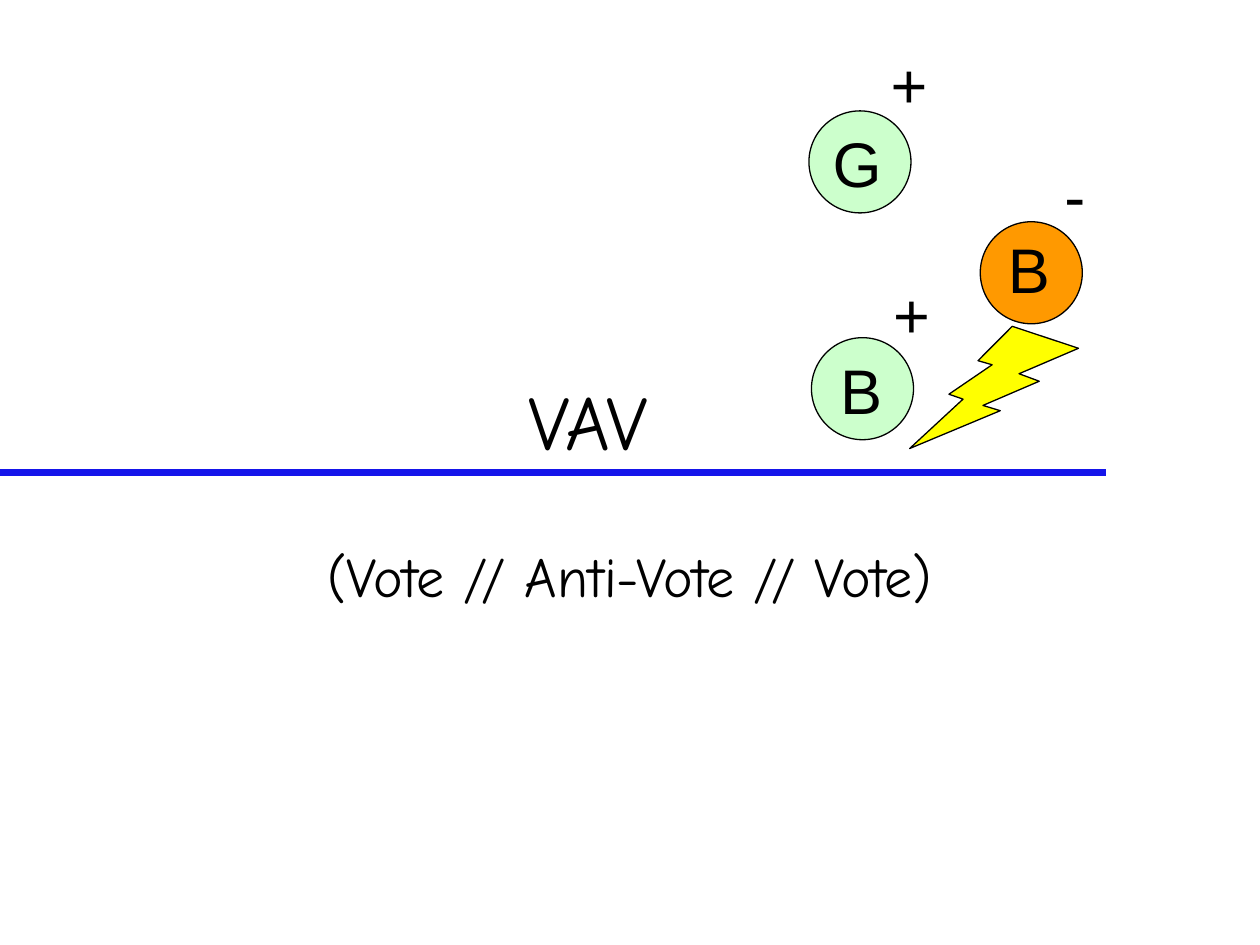
from pptx import Presentation
from pptx.dml.color import RGBColor
from pptx.enum.shapes import MSO_CONNECTOR, MSO_SHAPE
from pptx.enum.text import MSO_ANCHOR, MSO_AUTO_SIZE, PP_ALIGN
from pptx.oxml.ns import qn
from pptx.util import Inches, Pt
from lxml import etree

OVAL, BOLT = MSO_SHAPE.OVAL, MSO_SHAPE.LIGHTNING_BOLT
TOP, BOTTOM = MSO_ANCHOR.TOP, MSO_ANCHOR.BOTTOM
LEFT, CENTER = PP_ALIGN.LEFT, PP_ALIGN.CENTER
FIT, FIXED = MSO_AUTO_SIZE.SHAPE_TO_FIT_TEXT, MSO_AUTO_SIZE.NONE

BLACK = RGBColor(0x00, 0x00, 0x00)
BLUE = RGBColor(0x15, 0x15, 0xEA)
GREEN = RGBColor(0xCC, 0xFF, 0xCC)
ORANGE = RGBColor(0xFF, 0x99, 0x00)
YELLOW = RGBColor(0xFF, 0xFF, 0x00)

# Content: text, box, size, anchor
HEADINGS = [
    ("VAV", (0.42, 2.5, 8.5, 1.25), 44, BOTTOM),
    ("(Vote // Anti-Vote // Vote)", (1.5, 4.25, 7, 1.92), 32, TOP),
]
# Circle left and top, fill
DIAMETER = 0.81
VOTES = [(6.42, 0.88, GREEN), (6.44, 2.68, GREEN), (7.78, 1.76, ORANGE)]
# Text, left, top, width
LABEL_HEIGHT = 0.7
LABELS = [
    ("G", 6.51, 0.94, 0.59),
    ("B", 7.9, 1.78, 0.53),
    ("B", 6.57, 2.74, 0.53),
    ("+", 6.97, 0.31, 0.49),
    ("+", 6.99, 2.14, 0.49),
    ("-", 8.35, 1.19, 0.57),
]
BOLT_BOX = (7.22, 2.59, 1.34, 0.97)


def write(tf, text, font, size, align):
    p = tf.paragraphs[0]
    p.alignment = align
    p.space_before = Pt(0)
    r = p.add_run()
    r.text = text
    r.font.name, r.font.size = font, Pt(size)
    r.font.color.rgb = BLACK


def add_figure(s, kind, box, fill):
    sp = s.shapes.add_shape(kind, *map(Inches, box))
    sp.shadow.inherit = False
    sp.fill.solid()
    sp.fill.fore_color.rgb = fill
    sp.line.color.rgb = BLACK
    sp.line.width = Pt(0.75)
    return sp


prs = Presentation()
prs.slide_width, prs.slide_height = Inches(10), Inches(7.5)
s = prs.slides.add_slide(prs.slide_layouts[0])

# Rule under the title
rule = s.shapes.add_connector(MSO_CONNECTOR.STRAIGHT, 0, Inches(3.75),
                              Inches(8.78), Inches(3.75))
rule.line.color.rgb = BLUE
rule.line.width = Pt(4)
etree.SubElement(rule._element.spPr, qn("a:effectLst"))

# Title and subtitle
for sp, (text, box, size, anchor) in zip(s.placeholders, HEADINGS):
    sp.left, sp.top, sp.width, sp.height = map(Inches, box)
    tf = sp.text_frame
    tf.auto_size, tf.vertical_anchor = FIXED, anchor
    write(tf, text, "Comic Neue", size, CENTER)

# Vote circles
for left, top, fill in VOTES:
    add_figure(s, OVAL, (left, top, DIAMETER, DIAMETER), fill)

# Letters and signs
for text, left, top, width in LABELS:
    sp = s.shapes.add_textbox(*map(Inches, (left, top, width, LABEL_HEIGHT)))
    tf = sp.text_frame
    tf.word_wrap = text == "-"
    tf.auto_size = FIT
    write(tf, text, "Arial", 36, LEFT)

# Lightning bolt, mirrored
bolt = add_figure(s, BOLT, BOLT_BOX, YELLOW)
bolt._element.spPr.find(qn("a:xfrm")).set("flipH", "1")

prs.save("out.pptx")
